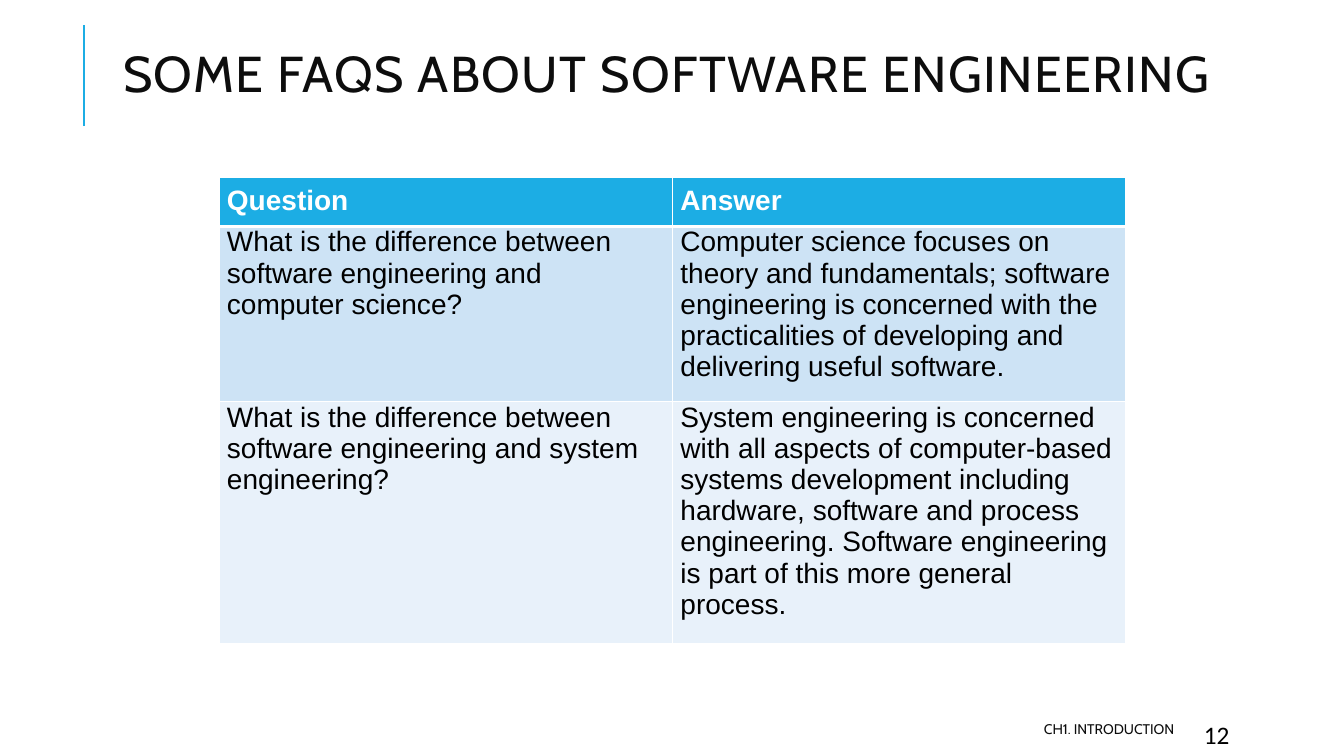
from lxml.etree import SubElement as Sub
from pptx import Presentation
from pptx.dml.color import RGBColor
from pptx.enum.shapes import MSO_CONNECTOR as Conn
from pptx.enum.text import MSO_ANCHOR as Anchor, PP_ALIGN as Align
from pptx.oxml.ns import qn
from pptx.util import Pt

SCALE = 914400 / 100.8
BLUE, INK, BLACK, WHITE = "1CADE4", "0D0D0D", "000000", "FFFFFF"
BANDS = [BLUE, "CDE3F5", "E8F1FA"]
HEIGHTS = [47, 163, 226]
ROWS = [
    ("Question", "Answer"),
    ("What is the difference between software engineering and computer science?",
     "Computer science focuses on theory and fundamentals; software engineering "
     "is concerned with the practicalities of developing and delivering useful "
     "software."),
    ("What is the difference between software engineering and system engineering?",
     "System engineering is concerned with all aspects of computer-based systems "
     "development including hardware, software and process engineering. Software "
     "engineering is part of this more general process."),
]


def px(n):
    return round(n * SCALE)


def rgb(code):
    return RGBColor.from_string(code)


def write(frame, text, size, face, color, align=Align.LEFT, bold=False):
    para = frame.paragraphs[0]
    para.text = text
    para.alignment = align
    font = para.font
    font.size, font.name, font.bold = Pt(size), face, bold
    font.color.rgb = rgb(color)
    return para


def add_title(slide, text):
    title = slide.shapes.title
    title.left, title.top, title.width, title.height = map(px, (113, 11, 1189, 134))
    frame = title.text_frame
    frame.word_wrap = True
    frame.vertical_anchor = Anchor.MIDDLE
    para = write(frame, text, 36, "Cabin", INK)
    para.line_spacing = 0.8
    para.runs[0].font._element.set("spc", "100")


def add_label(slide, box, text, size, face, color, align, anchor):
    frame = slide.shapes.add_textbox(*map(px, box)).text_frame
    frame.word_wrap = True
    frame.vertical_anchor = anchor
    write(frame, text, size, face, color, align)


def add_rule(slide, x, top, end):
    rule = slide.shapes.add_connector(Conn.STRAIGHT, px(x), px(end), px(x), px(top))
    rule.line.color.rgb = rgb(BLUE)
    rule.line.width = Pt(1.5)
    Sub(rule._element.spPr, qn("a:effectLst"))


def add_edge(cell, side, width):
    edge = Sub(cell._tc.get_or_add_tcPr(), qn("a:ln" + side), w=str(Pt(width)))
    Sub(Sub(edge, qn("a:solidFill")), qn("a:srgbClr"), val=WHITE)


def fill_cell(cell, text, row, band):
    head = row == 0
    cell.margin_left = cell.margin_right = px(8)
    cell.margin_top, cell.margin_bottom = px(8 if head else 0), px(8 if head else 7)
    # Edges come before the fill; a thick line divides head and body
    for side in "LRTB":
        thick = (row, side) in ((0, "B"), (1, "T"))
        add_edge(cell, side, 3 if thick else 1)
    cell.fill.solid()
    cell.fill.fore_color.rgb = rgb(band)
    write(cell.text_frame, text, 20, "Arial", WHITE if head else BLACK,
          Align.JUSTIFY if head else Align.LEFT, head)


def add_grid(slide, left, top, width):
    grid = slide.shapes.add_table(len(ROWS), 2, px(left), px(top), px(width),
                                  px(sum(HEIGHTS))).table
    grid.horz_banding = False
    for i, (texts, band, high) in enumerate(zip(ROWS, BANDS, HEIGHTS)):
        grid.rows[i].height = px(high)
        for j, text in enumerate(texts):
            fill_cell(grid.cell(i, j), text, i, band)


def main():
    deck = Presentation()
    deck.slide_width, deck.slide_height = px(1344), px(756)
    slide = deck.slides.add_slide(deck.slide_layouts[5])

    # Heading with its side rule
    add_rule(slide, 84, 25, 126)
    add_title(slide, "SOME FAQS ABOUT SOFTWARE ENGINEERING")

    # Footer and page number
    add_label(slide, (534, 714, 650, 30), "CH1. INTRODUCTION", 10, "Cabin", INK,
              Align.RIGHT, Anchor.MIDDLE)
    add_label(slide, (1194, 714, 107, 30), "12", 18, "Calibri", BLACK,
              Align.LEFT, Anchor.TOP)

    # Questions and answers
    add_grid(slide, 219, 177, 907)
    deck.save("out.pptx")


if __name__ == "__main__":
    main()
